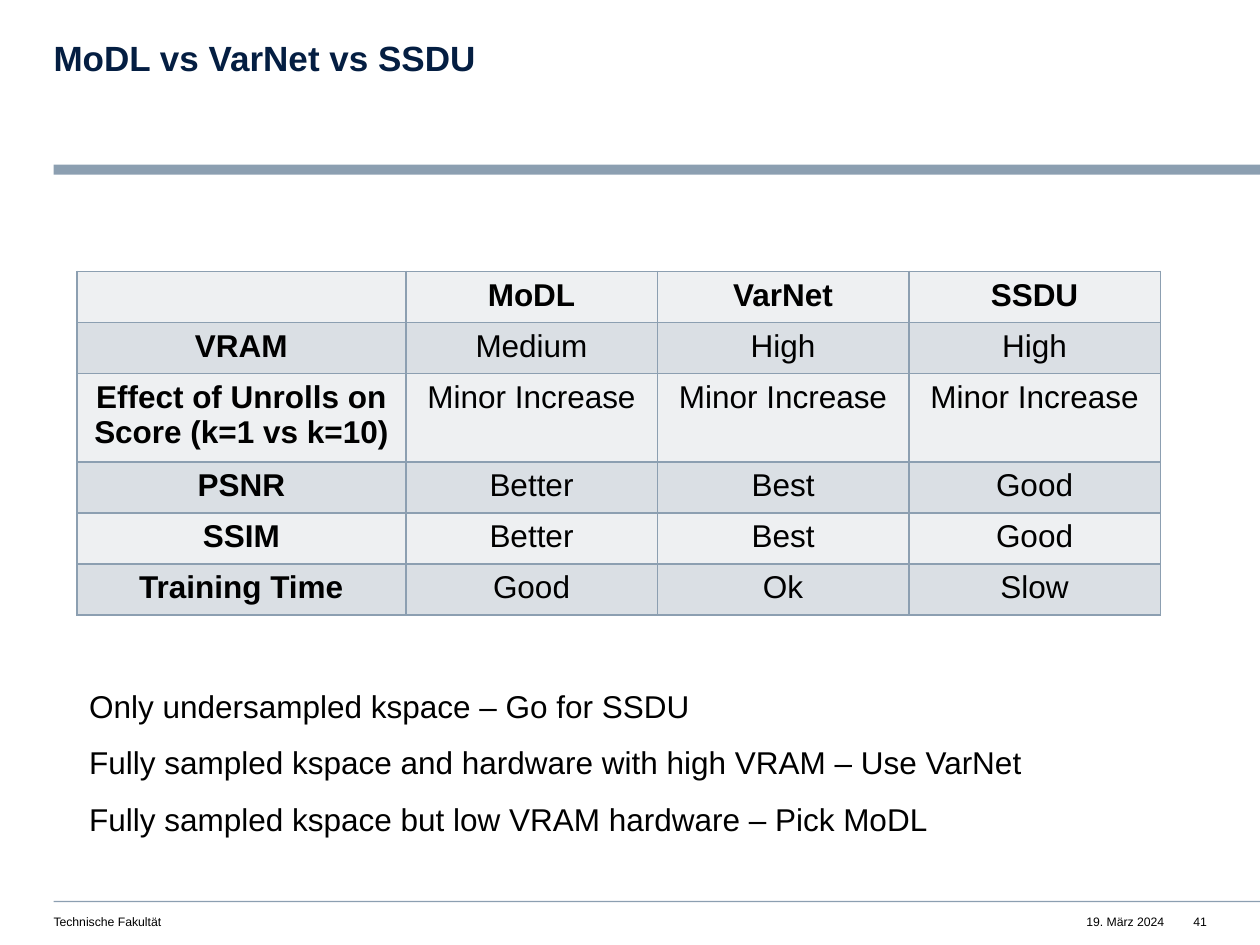
from lxml.etree import SubElement
from pptx import Presentation
from pptx.dml.color import RGBColor
from pptx.enum.shapes import MSO_SHAPE as Shape
from pptx.enum.text import PP_ALIGN as Align
from pptx.oxml.ns import qn
from pptx.util import Cm, Pt

NAVY = RGBColor(0x04, 0x1E, 0x42)
STEEL = RGBColor(0x8C, 0x9F, 0xB1)
LIGHT = RGBColor(0xEE, 0xF0, 0xF2)
DARK = RGBColor(0xDA, 0xDF, 0xE4)
BLACK = RGBColor(0, 0, 0)


def write(para, text, size, color=BLACK, bold=False, align=Align.LEFT):
    para.text = text
    para.alignment = align
    look = {"name": "Arial", "size": Pt(size), "bold": bold}
    for key, val in look.items():
        setattr(para.font, key, val)
    para.font.color.rgb = color


def add_box(left, top, width, height, pad=0.0):
    frame = slide.shapes.add_textbox(
        Cm(left), Cm(top), Cm(width), Cm(height)).text_frame
    frame.word_wrap = True
    for side in ("left", "right", "top", "bottom"):
        gap = pad if side in ("left", "right") else pad / 2
        setattr(frame, f"margin_{side}", Cm(gap))
    return frame


prs = Presentation()
prs.slide_width, prs.slide_height = Cm(25.4), Cm(19.05)
slide = prs.slides.add_slide(prs.slide_layouts[6])

# Rules below the title and above the footer
for top, height in ((3.32, 0.2), (18.16, 0.03)):
    rule = slide.shapes.add_shape(
        Shape.RECTANGLE, Cm(1.08), Cm(top), Cm(24.32), Cm(height))
    rule.shadow.inherit = False
    rule.fill.solid()
    rule.fill.fore_color.rgb = STEEL
    rule.line.fill.background()

# Footer
for text, left, width, align in (
    ("19. März 2024", 21.67, 1.8, Align.RIGHT),
    ("Technische Fakultät", 1.08, 11.4, Align.LEFT),
    ("41", 23.83, 0.5, Align.RIGHT),
):
    foot = add_box(left, 18.44, width, 0.3)
    write(foot.paragraphs[0], text, 7, align=align)

# Title
title = add_box(1.08, 0.84, 14.25, 0.76).paragraphs[0]
write(title, "MoDL vs VarNet vs SSDU", 20, NAVY, bold=True)
title.line_spacing = 0.9

# Comparison table
rows = (
    ("", "MoDL", "VarNet", "SSDU"),
    ("VRAM", "Medium", "High", "High"),
    ("Effect of Unrolls on Score (k=1 vs k=10)",) + ("Minor Increase",) * 3,
    ("PSNR", "Better", "Best", "Good"),
    ("SSIM", "Better", "Best", "Good"),
    ("Training Time", "Good", "Ok", "Slow"),
)
table = slide.shapes.add_table(
    len(rows), 4, Cm(1.55), Cm(5.47), Cm(21.84), Cm(6.83)).table
table.first_row = table.horz_banding = False
for col, width in zip(table.columns, (6.63, 5.07, 5.07, 5.07)):
    col.width = Cm(width)
for r, row in enumerate(rows):
    table.rows[r].height = Cm(1.67 if r == 2 else 1.03)
    for c, text in enumerate(row):
        cell = table.cell(r, c)
        props = cell._tc.get_or_add_tcPr()
        for edge in ("a:lnL", "a:lnR", "a:lnT", "a:lnB"):
            line = SubElement(props, qn(edge), w=str(Pt(1)))
            fill = SubElement(line, qn("a:solidFill"))
            SubElement(fill, qn("a:srgbClr"), val=str(STEEL))
        cell.fill.solid()
        cell.fill.fore_color.rgb = DARK if r % 2 else LIGHT
        write(cell.text_frame.paragraphs[0], text, 18,
              bold=r == 0 or c == 0, align=Align.CENTER)

# Advice
advice = add_box(1.55, 13.72, 20.04, 3.25, pad=0.25)
for i, text in enumerate((
    "Only undersampled kspace – Go for SSDU",
    "Fully sampled kspace and hardware with high VRAM – Use VarNet",
    "Fully sampled kspace but low VRAM hardware – Pick MoDL",
)):
    para = advice.add_paragraph() if i else advice.paragraphs[0]
    write(para, text, 18)
    if i:
        para.space_before = Pt(10.7)

prs.save("out.pptx")
